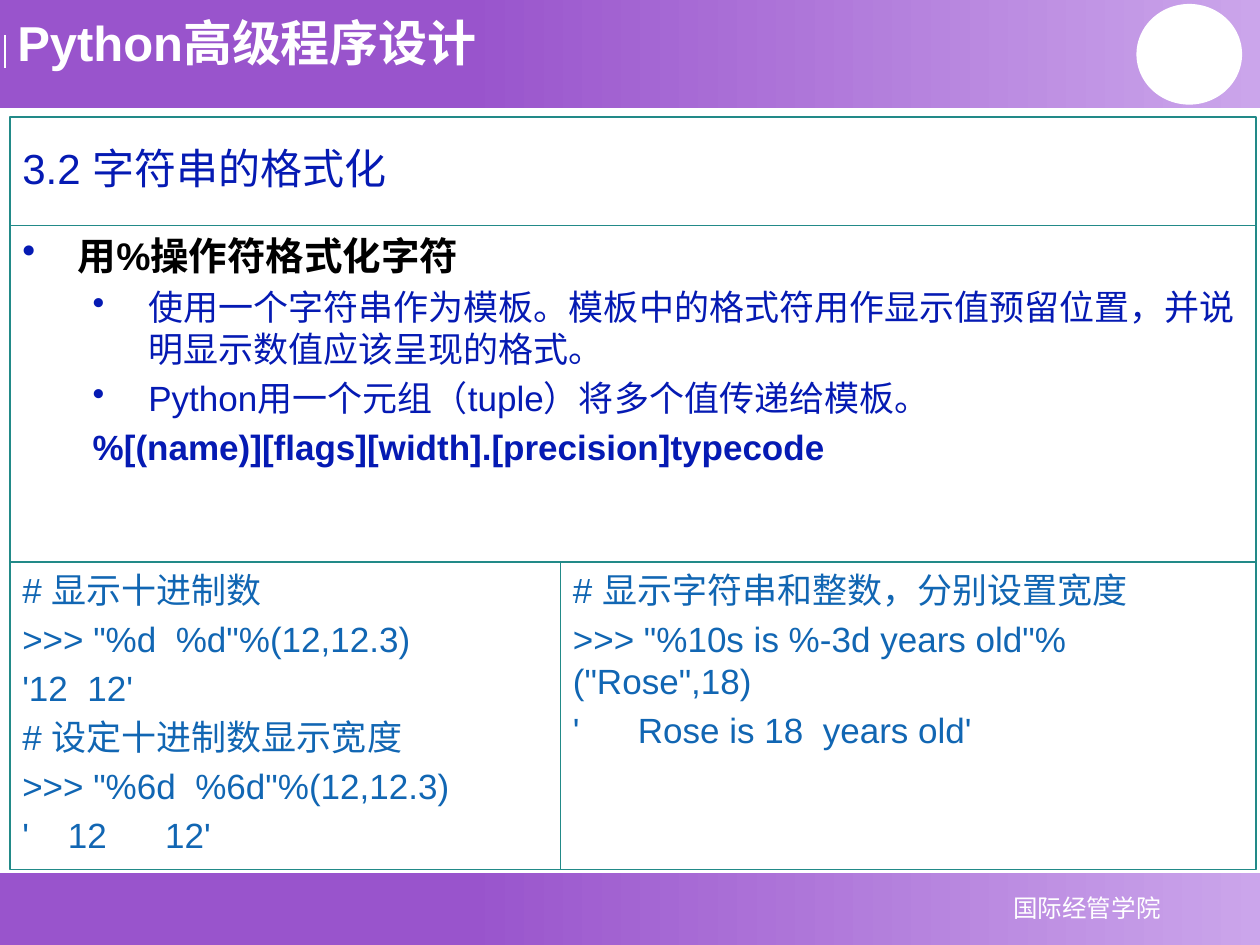
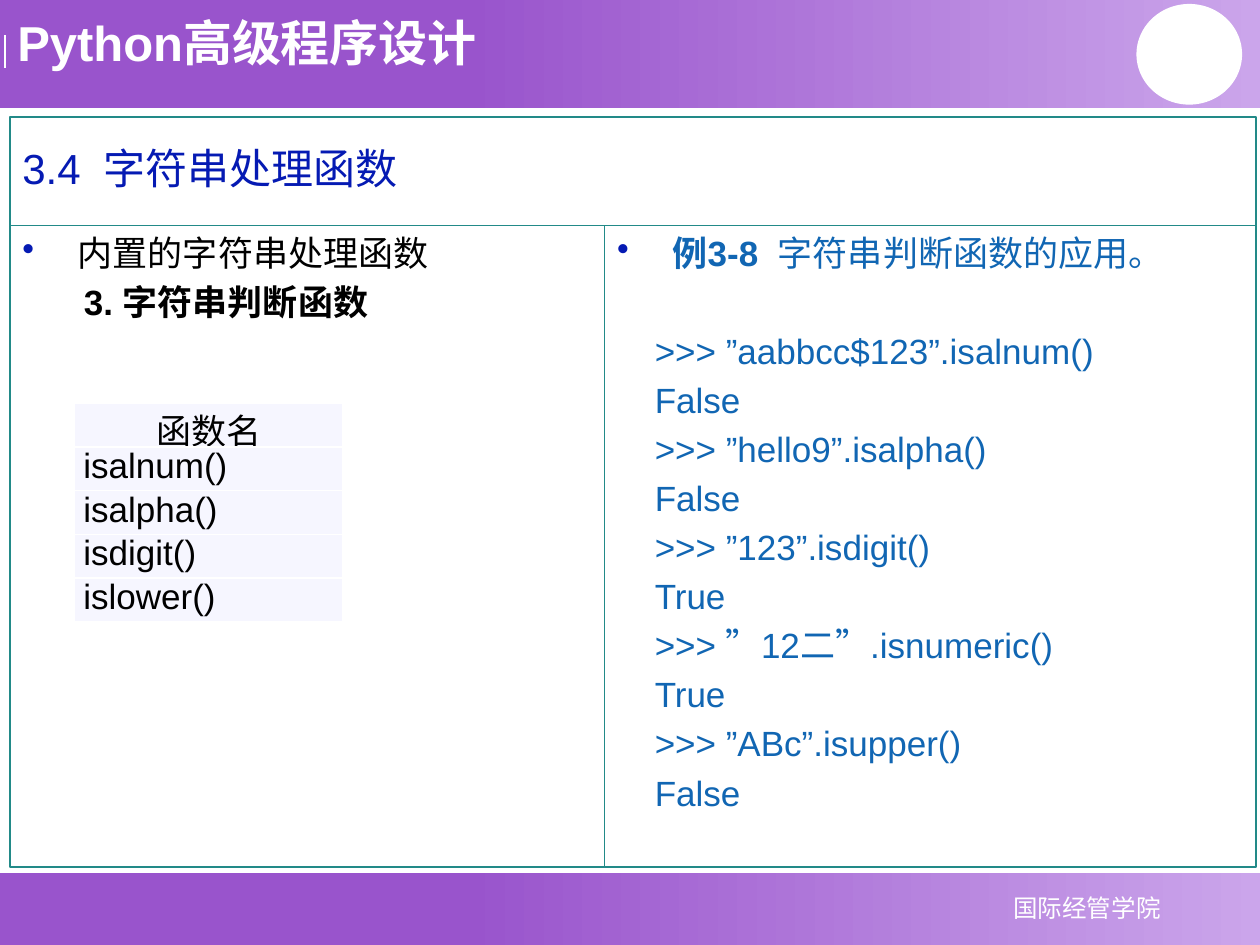
import copy
from dataclasses import dataclass

import lxml.etree
import pptx
import pptx.dml.color
import pptx.enum.lang
import pptx.enum.shapes
import pptx.enum.text
import pptx.oxml.ns
import pptx.slide
import pptx.util

Cm = pptx.util.Cm
Pt = pptx.util.Pt
RGBColor = pptx.dml.color.RGBColor
Align = pptx.enum.text.PP_ALIGN
Anchor = pptx.enum.text.MSO_ANCHOR
Shape = pptx.enum.shapes.MSO_SHAPE
qn = pptx.oxml.ns.qn

WHITE = RGBColor(0xFF, 0xFF, 0xFF)
BLACK = RGBColor(0x00, 0x00, 0x00)
PURPLE = RGBColor(0x99, 0x54, 0xCC)
LILAC = RGBColor(0xCB, 0xA5, 0xEB)
TEAL = RGBColor(0x22, 0x8A, 0x88)
NAVY = RGBColor(0x05, 0x1A, 0xB3)
BLUE = RGBColor(0x11, 0x66, 0xB3)
PALE = RGBColor(0xF6, 0xF6, 0xFF)

FONT = "Arial"
WIDTH, HEIGHT = 25.4, 19.05
LEFT, RIGHT = 0.2, 25.32
HEAD_TOP, BODY_TOP = 2.36, 4.55
HANG = 1.12  # distance from bullet to text, in cm


@dataclass(frozen=True)
class Area:
    """A rectangle in centimetres."""
    left: float
    top: float
    width: float
    height: float

    def lengths(self) -> list[pptx.util.Length]:
        return [Cm(n) for n in (self.left, self.top, self.width, self.height)]


@dataclass(frozen=True)
class Run:
    text: str
    bold: bool = False


@dataclass(frozen=True)
class Para:
    runs: tuple[Run, ...]
    color: RGBColor = BLUE
    size: float = 20
    indent: float = 0
    bullet: bool = False
    before: float = 0
    align: Align = Align.LEFT


@dataclass(frozen=True)
class Panel:
    area: Area
    paras: tuple[Para, ...]


def plain(text: str, bold: bool = False, **style) -> Para:
    """Make a paragraph of a single run."""
    return Para((Run(text, bold),), **style)


def add_child(parent, tag: str, **attrs: str):
    return lxml.etree.SubElement(parent, qn(tag), attrs)


def add_runs(line, para: Para) -> None:
    line.alignment = para.align
    for part in para.runs:
        run = line.add_run()
        run.text = part.text
        font = run.font
        font.name = FONT
        font.size = Pt(para.size)
        font.bold = part.bold
        font.color.rgb = para.color
        font.language_id = pptx.enum.lang.MSO_LANGUAGE_ID.SIMPLIFIED_CHINESE


def add_bullet(line, indent: float) -> None:
    props = line._p.get_or_add_pPr()
    props.set("indent", str(-Cm(HANG)))
    color = add_child(props, "a:buClr")
    add_child(color, "a:srgbClr", val=str(NAVY))
    add_child(props, "a:buChar", char="•")


def add_text(slide: pptx.slide.Slide, area: Area, paras: tuple[Para, ...],
             anchor: Anchor = Anchor.TOP, border: bool = False,
             spacing: float | None = None) -> None:
    """Draw a text box; without a spacing, lines are 1.2 times the size."""
    box = slide.shapes.add_textbox(*area.lengths())
    if border:
        box.line.color.rgb = TEAL
        box.line.width = Pt(0.75)
    frame = box.text_frame
    frame.word_wrap = True
    frame.vertical_anchor = anchor
    for index, para in enumerate(paras):
        line = frame.add_paragraph() if index else frame.paragraphs[0]
        line.line_spacing = spacing or Pt(para.size * 1.2)
        line.space_before = Pt(para.before)
        line.space_after = Pt(para.size * 0.2)
        line._p.get_or_add_pPr().set("marL", str(Cm(para.indent)))
        if para.bullet:
            add_bullet(line, para.indent)
        add_runs(line, para)


def add_band(slide: pptx.slide.Slide, area: Area) -> None:
    band = slide.shapes.add_shape(Shape.RECTANGLE, *area.lengths())
    band.shadow.inherit = False
    band.line.fill.background()
    band.fill.gradient()
    band.fill.gradient_angle = 0
    first, last = band.fill.gradient_stops
    first.color.rgb, first.position = PURPLE, 0
    last.color.rgb, last.position = LILAC, 1
    start = band._element.spPr.find(".//" + qn("a:gs"))
    middle = copy.deepcopy(start)
    middle.set("pos", "37000")
    start.addnext(middle)


def add_frame(slide: pptx.slide.Slide) -> None:
    """Draw the bands, course name, footer and badge of every slide."""
    add_band(slide, Area(0, 17.6, WIDTH, 1.45))
    add_band(slide, Area(0, 0, WIDTH, 2.18))
    mark = slide.shapes.add_connector(
        pptx.enum.shapes.MSO_CONNECTOR.STRAIGHT,
        Cm(0.1), Cm(0.71), Cm(0.1), Cm(1.37))
    mark.line.color.rgb = WHITE
    mark.line.width = Pt(0.75)
    add_child(mark._element.spPr, "a:effectLst")
    add_text(slide, Area(18.97, 17.86, 5.89, 0.86),
             (plain("国际经管学院", size=14, color=WHITE, align=Align.CENTER),),
             Anchor.MIDDLE, spacing=1.0)
    add_text(slide, Area(0.1, 0.13, 10.41, 1.45),
             (plain("Python高级程序设计", True, size=28, color=WHITE),),
             spacing=1.0)
    badge = slide.shapes.add_shape(
        Shape.OVAL, *Area(22.91, 0.08, 2.13, 2.03).lengths())
    badge.shadow.inherit = False
    badge.fill.solid()
    badge.fill.fore_color.rgb = WHITE
    badge.line.fill.background()


def add_slide(deck, title: str, panels: tuple[Panel, ...]) -> pptx.slide.Slide:
    slide = deck.slides.add_slide(deck.slide_layouts[6])
    add_frame(slide)
    head = Area(LEFT, HEAD_TOP, RIGHT - LEFT, BODY_TOP - HEAD_TOP)
    add_text(slide, head, (plain(title, size=24, color=NAVY),),
             Anchor.MIDDLE, True, 0.9)
    for panel in panels:
        add_text(slide, panel.area, panel.paras, border=True)
    return slide


def add_edges(cell) -> None:
    props = cell._tc.get_or_add_tcPr()
    for index, side in enumerate("LRTB"):
        edge = lxml.etree.Element(qn(f"a:ln{side}"), w=str(Pt(1)))
        fill = add_child(edge, "a:solidFill")
        add_child(fill, "a:srgbClr", val=str(WHITE))
        props.insert(index, edge)


def add_list(slide: pptx.slide.Slide, area: Area, names: list[str]) -> None:
    """Draw a table of one column whose first name is the heading."""
    table = slide.shapes.add_table(len(names), 1, *area.lengths()).table
    table.first_row = table.horz_banding = False
    for index, name in enumerate(names):
        cell = table.cell(index, 0)
        cell.fill.solid()
        cell.fill.fore_color.rgb = PALE
        cell.margin_left = cell.margin_right = Cm(0.18)
        cell.margin_top = cell.margin_bottom = 0
        add_edges(cell)
        line = cell.text_frame.paragraphs[0]
        line.space_before = line.space_after = Pt(1.2)
        align = Align.JUSTIFY if index else Align.CENTER
        add_runs(line, plain(name, color=BLACK, align=align))


def add_format(deck) -> None:
    split, code_top, bottom = 11.3, 11.33, 17.53
    rules = (
        plain("用%操作符格式化字符", True, color=BLACK, size=22,
              indent=HANG, bullet=True),
        plain("使用一个字符串作为模板。模板中的格式符用作显示值预留位置，并说明显示数值应该呈现的格式。",
              color=NAVY, indent=2.54, bullet=True),
        plain("Python用一个元组（tuple）将多个值传递给模板。",
              color=NAVY, indent=2.54, bullet=True),
        plain("%[(name)][flags][width].[precision]typecode", True,
              color=NAVY, indent=1.42),
    )
    digits = (
        "# 显示十进制数",
        '>>> "%d  %d"%(12,12.3)',
        "'12  12'",
        "# 设定十进制数显示宽度",
        '>>> "%6d  %6d"%(12,12.3)',
        "'    12      12'",
    )
    widths = (
        "# 显示字符串和整数，分别设置宽度",
        '>>> "%10s is %-3d years old"%("Rose",18)',
        "'      Rose is 18  years old'",
    )
    deep = bottom - code_top
    add_slide(deck, "3.2 字符串的格式化", (
        Panel(Area(LEFT, BODY_TOP, RIGHT - LEFT, code_top - BODY_TOP), rules),
        Panel(Area(LEFT, code_top, split - LEFT, deep),
              tuple(plain(text) for text in digits)),
        Panel(Area(split, code_top, RIGHT - split, deep),
              tuple(plain(text) for text in widths)),
    ))


def add_tests(deck) -> None:
    split, deep = 12.19, 12.93
    topics = (
        plain("内置的字符串处理函数", color=BLACK, indent=HANG, bullet=True),
        plain("3. 字符串判断函数", True, color=BLACK, indent=1.24),
    )
    calls = (
        ("”aabbcc$123”.isalnum()", "False"),
        ("”hello9”.isalpha()", "False"),
        ("”123”.isdigit()", "True"),
        ("”12二”.isnumeric()", "True"),
        ("”ABc”.isupper()", "False"),
    )
    lines = [Para((Run("例3-8  ", True), Run("字符串判断函数的应用。")),
                  indent=HANG, bullet=True)]
    for index, (call, result) in enumerate(calls):
        lines.append(plain(f">>> {call}", indent=0.76,
                           before=0 if index else 28))
        lines.append(plain(result, indent=0.76))
    slide = add_slide(deck, "3.4  字符串处理函数", (
        Panel(Area(LEFT, BODY_TOP, split - LEFT, deep), topics),
        Panel(Area(split, BODY_TOP, RIGHT - split, deep), tuple(lines)),
    ))
    add_list(slide, Area(1.5, 8.13, 5.41, 4.4),
             ["函数名", "isalnum()", "isalpha()", "isdigit()", "islower()"])


def main() -> None:
    deck = pptx.Presentation()
    deck.slide_width, deck.slide_height = Cm(WIDTH), Cm(HEIGHT)
    add_format(deck)
    add_tests(deck)
    deck.save("out.pptx")


if __name__ == "__main__":
    main()
